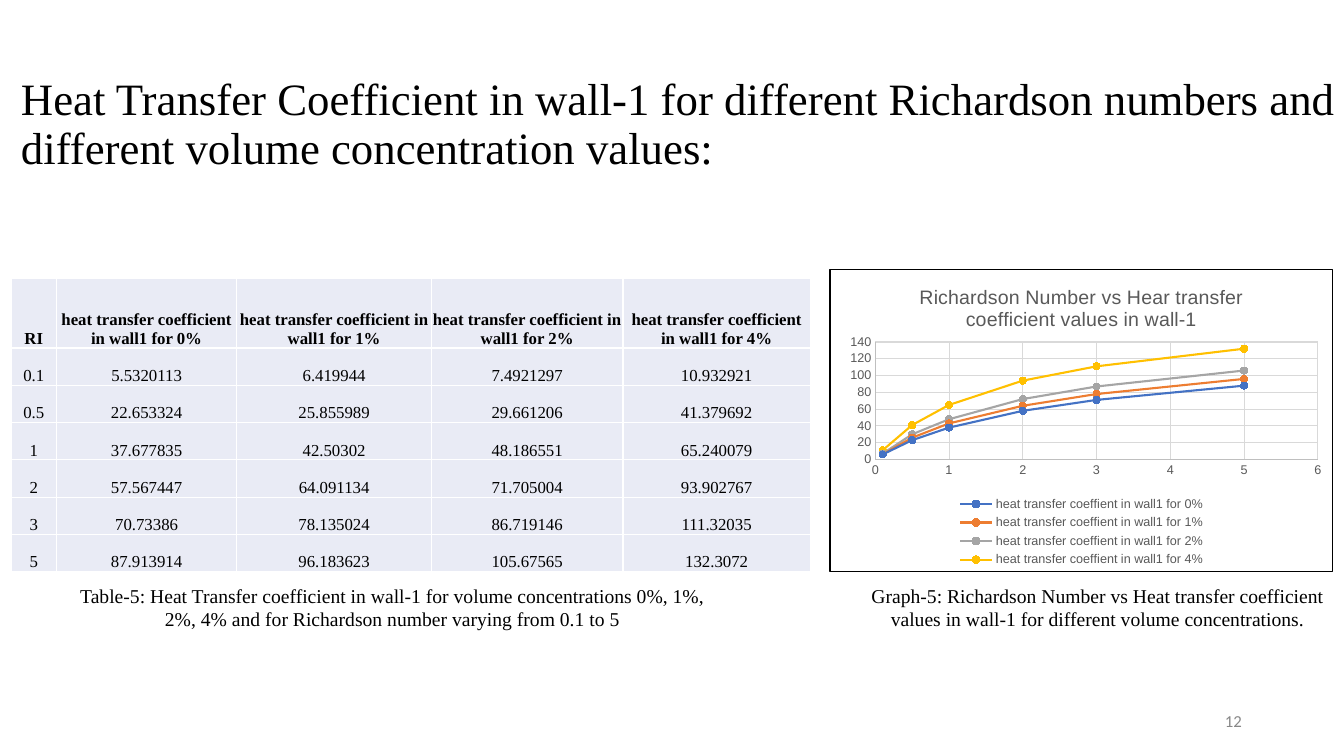
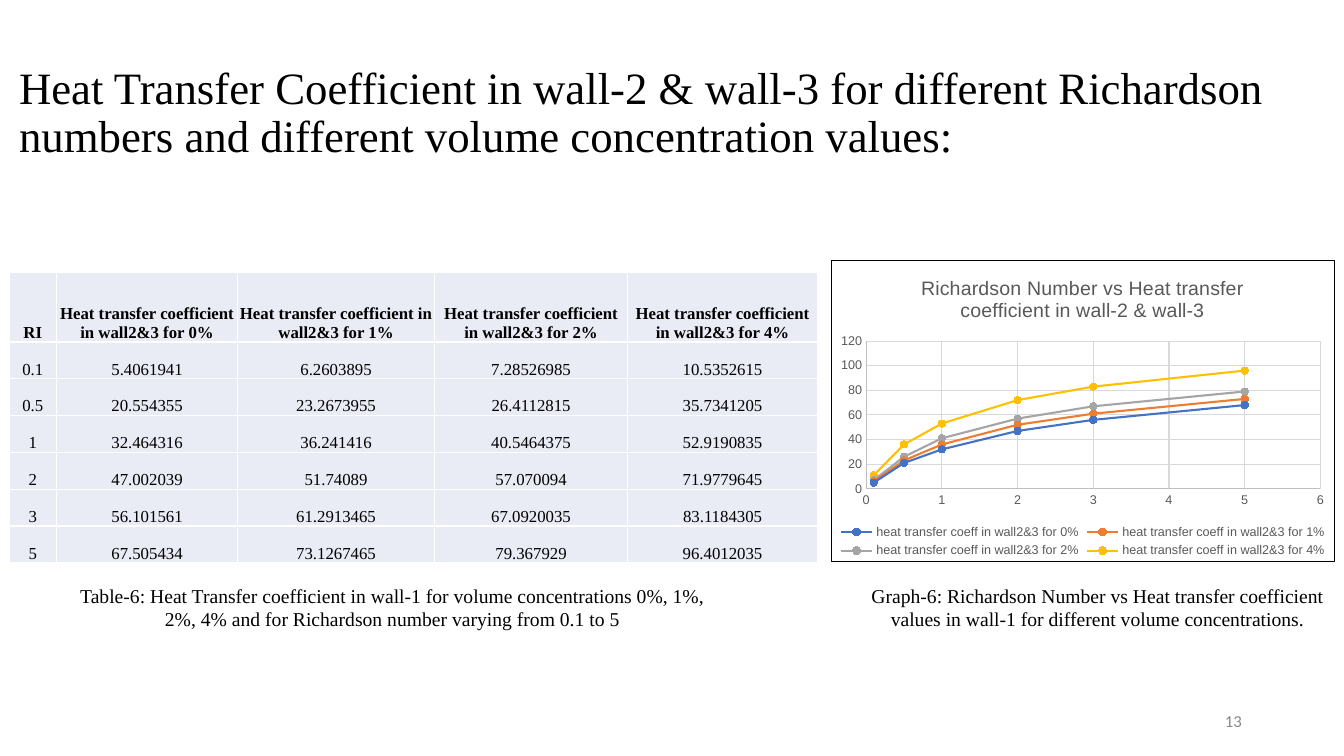
from dataclasses import dataclass
from typing import NamedTuple

from lxml.etree import SubElement
from pptx import Presentation
from pptx.chart.data import XyChartData
from pptx.dml.color import RGBColor
from pptx.enum.chart import XL_CHART_TYPE, XL_LEGEND_POSITION, XL_MARKER_STYLE, XL_TICK_MARK
from pptx.enum.text import MSO_ANCHOR, MSO_AUTO_SIZE, PP_ALIGN
from pptx.oxml import parse_xml
from pptx.oxml.ns import nsdecls, qn
from pptx.util import Pt


@dataclass(frozen=True)
class Theme:
    serif: str = "Times New Roman"
    chart_font: str = "Arial"
    number_font: str = "Calibri"
    black: str = "000000"
    white: str = "FFFFFF"
    cell: str = "E9EBF5"
    page_number: str = "888888"
    chart_text: str = "595959"
    axis: str = "BFBFBF"
    grid: str = "D9D9D9"
    series: tuple[str, ...] = ("4472C4", "ED7D31", "A5A5A5", "FFC000")
    title_size: float = 32
    caption_size: float = 14
    table_size: float = 12
    page_number_size: float = 12
    chart_title_size: float = 14
    chart_size: float = 10
    label_size: float = 9
    hairline: float = 0.75
    curve: float = 1.5
    cell_border: float = 1


class Box(NamedTuple):
    left: float
    top: float
    width: float
    height: float


class TextStyle(NamedTuple):
    font: str
    size: float
    color: str
    bold: bool = False


class PlotArea(NamedTuple):
    x: float
    y: float
    w: float
    h: float


@dataclass(frozen=True)
class WallResult:
    title: str
    title_box: Box
    page: int
    column_label: str
    table_box: Box
    column_widths: tuple[float, ...]
    readings: tuple[tuple[str, ...], ...]
    chart_title: str
    curve_label: str
    chart_box: Box
    number: int
    plot_area: PlotArea | None = None


THEME = Theme()
TITLE = TextStyle(THEME.serif, THEME.title_size, THEME.black)
CAPTION = TextStyle(THEME.serif, THEME.caption_size, THEME.black)
PAGE_NUMBER = TextStyle(THEME.number_font, THEME.page_number_size, THEME.page_number)
READING = TextStyle(THEME.serif, THEME.table_size, THEME.black)
HEADING = READING._replace(bold=True)
CHART_TITLE = TextStyle(THEME.chart_font, THEME.chart_title_size, THEME.chart_text)
CHART_LABEL = TextStyle(THEME.chart_font, THEME.label_size, THEME.chart_text)
CHART_BASE = TextStyle(THEME.chart_font, THEME.chart_size, THEME.black)

PAGE_NUMBER_BOX = Box(678.25, 500.5, 216, 28.75)
TABLE_CAPTION_BOX = Box(40.3, 413.3, 480.25, 41)
GRAPH_CAPTION_BOX = Box(599.75, 413.3, 368.65, 41)
HEADER_HEIGHT = 49.7
CELL_INSET = 0.7
CONCENTRATIONS = ("0%", "1%", "2%", "4%")
RICHARDSON = ("0.1", "0.5", "1", "2", "3", "5")

RESULTS = (
    WallResult(
        title="Heat Transfer Coefficient in wall-1 for different Richardson numbers "
              "and different volume concentration values:",
        title_box=Box(7.9, 51.5, 961.2, 91.4),
        page=12,
        column_label="heat transfer coefficient in wall1 for",
        table_box=Box(7.9, 198.9, 571, 209.5),
        column_widths=(32.4, 128.9, 139, 136.8, 133.9),
        readings=(
            ("5.5320113", "6.419944", "7.4921297", "10.932921"),
            ("22.653324", "25.855989", "29.661206", "41.379692"),
            ("37.677835", "42.50302", "48.186551", "65.240079"),
            ("57.567447", "64.091134", "71.705004", "93.902767"),
            ("70.73386", "78.135024", "86.719146", "111.32035"),
            ("87.913914", "96.183623", "105.67565", "132.3072"),
        ),
        chart_title="Richardson Number vs Hear transfer coefficient values in wall-1",
        curve_label="heat transfer coeffient in wall1 for",
        chart_box=Box(592.5, 192.3, 360, 216),
        number=5,
        plot_area=PlotArea(0.09, 0.24, 0.88, 0.39),
    ),
    WallResult(
        title="Heat Transfer Coefficient in wall-2 & wall-3 for different Richardson "
              "numbers and different volume concentration values:",
        title_box=Box(6.5, 43.2, 972.7, 79.2),
        page=13,
        column_label="Heat transfer coefficient in wall2&3 for",
        table_box=Box(6.5, 194.6, 577.4, 207.4),
        column_widths=(33.8, 129.6, 140.4, 138.2, 135.4),
        readings=(
            ("5.4061941", "6.2603895", "7.28526985", "10.5352615"),
            ("20.554355", "23.2673955", "26.4112815", "35.7341205"),
            ("32.464316", "36.241416", "40.5464375", "52.9190835"),
            ("47.002039", "51.74089", "57.070094", "71.9779645"),
            ("56.101561", "61.2913465", "67.0920035", "83.1184305"),
            ("67.505434", "73.1267465", "79.367929", "96.4012035"),
        ),
        chart_title="Richardson Number vs Heat transfer coefficient in wall-2 & wall-3",
        curve_label="heat transfer coeff in wall2&3 for",
        chart_box=Box(593.3, 185.8, 360, 216),
        number=6,
    ),
)


def rgb(color: str) -> RGBColor:
    return RGBColor.from_string(color)


def in_points(box: Box) -> tuple[Pt, ...]:
    return tuple(Pt(length) for length in box)


def set_font(font, style: TextStyle) -> None:
    font.name, font.size, font.bold = style.font, Pt(style.size), style.bold
    font.color.rgb = rgb(style.color)


def set_line(line, color: str, width: float) -> None:
    line.color.rgb = rgb(color)
    line.width = Pt(width)


def write(frame, text: str, style: TextStyle, align: PP_ALIGN) -> None:
    paragraph = frame.paragraphs[0]
    paragraph.alignment = align
    run = paragraph.add_run()
    run.text = text
    set_font(run.font, style)


def add_text(slide, box: Box, text: str, style: TextStyle, align: PP_ALIGN,
             anchor: MSO_ANCHOR = MSO_ANCHOR.TOP):
    frame = slide.shapes.add_textbox(*in_points(box)).text_frame
    frame.word_wrap = True
    frame.vertical_anchor = anchor
    write(frame, text, style, align)
    return frame


def add_caption(slide, box: Box, text: str) -> None:
    frame = add_text(slide, box, text, CAPTION, PP_ALIGN.CENTER)
    frame.auto_size = MSO_AUTO_SIZE.SHAPE_TO_FIT_TEXT


def add_cell_borders(cell) -> None:
    properties = cell._tc.get_or_add_tcPr()
    for index, edge in enumerate(("lnL", "lnR", "lnT", "lnB")):
        properties.insert(index, parse_xml(
            f'<a:{edge} {nsdecls("a")} w="{Pt(THEME.cell_border)}"><a:solidFill>'
            f'<a:srgbClr val="{THEME.white}"/></a:solidFill></a:{edge}>'))


def add_readings_table(slide, result: WallResult) -> None:
    header = ("RI", *(f"{result.column_label} {share}" for share in CONCENTRATIONS))
    rows = [header, *((ri, *values) for ri, values in zip(RICHARDSON, result.readings))]
    table = slide.shapes.add_table(
        len(rows), len(header), *in_points(result.table_box)).table
    table.first_row = table.horz_banding = False
    for column, width in zip(table.columns, result.column_widths):
        column.width = Pt(width)
    row_height = (result.table_box.height - HEADER_HEIGHT) / len(RICHARDSON)
    for r, texts in enumerate(rows):
        table.rows[r].height = Pt(row_height if r else HEADER_HEIGHT)
        for c, text in enumerate(texts):
            cell = table.cell(r, c)
            cell.margin_left = cell.margin_right = cell.margin_top = Pt(CELL_INSET)
            cell.margin_bottom = Pt(0)
            cell.vertical_anchor = MSO_ANCHOR.BOTTOM
            cell.fill.solid()
            cell.fill.fore_color.rgb = rgb(THEME.cell)
            add_cell_borders(cell)
            write(cell.text_frame, text, READING if r else HEADING, PP_ALIGN.CENTER)


def frame_chart(chart) -> None:
    """Give the whole chart a white ground and a thin black outline."""
    chart._chartSpace.find(qn("c:chart")).addnext(parse_xml(
        f'<c:spPr {nsdecls("c", "a")}><a:solidFill><a:srgbClr val="{THEME.white}"/>'
        f'</a:solidFill><a:ln w="{Pt(THEME.hairline)}"><a:solidFill>'
        f'<a:srgbClr val="{THEME.black}"/></a:solidFill></a:ln></c:spPr>'))


def place_plot(chart, area: PlotArea) -> None:
    plot = chart._chartSpace.find(qn("c:chart")).find(qn("c:plotArea"))
    layout = plot.find(qn("c:layout"))
    if layout is None:
        layout = parse_xml(f'<c:layout {nsdecls("c")}/>')
        plot.insert(0, layout)
    manual = SubElement(layout, qn("c:manualLayout"))
    settings = {"layoutTarget": "inner", "xMode": "edge", "yMode": "edge", **area._asdict()}
    for tag, value in settings.items():
        SubElement(manual, qn(f"c:{tag}")).set("val", str(value))


def add_curves_chart(slide, result: WallResult) -> None:
    data = XyChartData()
    for share, values in zip(CONCENTRATIONS, zip(*result.readings)):
        curve = data.add_series(f"{result.curve_label} {share}")
        for ri, value in zip(RICHARDSON, values):
            curve.add_data_point(float(ri), round(float(value)))
    chart = slide.shapes.add_chart(
        XL_CHART_TYPE.XY_SCATTER_SMOOTH, *in_points(result.chart_box), data).chart
    set_font(chart.font, CHART_BASE)
    frame_chart(chart)
    if result.plot_area:
        place_plot(chart, result.plot_area)

    chart.has_title = True
    write(chart.chart_title.text_frame, result.chart_title, CHART_TITLE, PP_ALIGN.CENTER)
    chart.chart_title.include_in_layout = False
    chart.has_legend = True
    chart.legend.position = XL_LEGEND_POSITION.BOTTOM
    chart.legend.include_in_layout = False
    set_font(chart.legend.font, CHART_LABEL)

    for axis in (chart.category_axis, chart.value_axis):
        axis.major_tick_mark = axis.minor_tick_mark = XL_TICK_MARK.NONE
        axis.has_major_gridlines = True
        set_line(axis.major_gridlines.format.line, THEME.grid, THEME.hairline)
        set_line(axis.format.line, THEME.axis, THEME.hairline)
        set_font(axis.tick_labels.font, CHART_LABEL)

    chart.plots[0].vary_by_categories = False
    for curve, color in zip(chart.plots[0].series, THEME.series):
        curve.smooth = True
        set_line(curve.format.line, color, THEME.curve)
        curve.marker.style = XL_MARKER_STYLE.CIRCLE
        curve.marker.size = 5
        curve.marker.format.fill.solid()
        curve.marker.format.fill.fore_color.rgb = rgb(color)
        set_line(curve.marker.format.line, color, THEME.hairline)


def add_result_slide(deck, result: WallResult) -> None:
    slide = deck.slides.add_slide(deck.slide_layouts[6])
    title = add_text(slide, result.title_box, result.title, TITLE, PP_ALIGN.LEFT)
    title.paragraphs[0].line_spacing = 0.9
    add_text(slide, PAGE_NUMBER_BOX, str(result.page), PAGE_NUMBER, PP_ALIGN.RIGHT,
             MSO_ANCHOR.MIDDLE)
    add_readings_table(slide, result)
    add_curves_chart(slide, result)
    add_caption(slide, TABLE_CAPTION_BOX,
                f"Table-{result.number}: Heat Transfer coefficient in wall-1 for volume "
                "concentrations 0%, 1%, 2%, 4% and for Richardson number varying from 0.1 to 5")
    add_caption(slide, GRAPH_CAPTION_BOX,
                f"Graph-{result.number}: Richardson Number vs Heat transfer coefficient "
                "values in wall-1 for different volume concentrations.")


def main() -> None:
    deck = Presentation()
    deck.slide_width, deck.slide_height = Pt(960), Pt(540)
    for result in RESULTS:
        add_result_slide(deck, result)
    deck.save("out.pptx")


if __name__ == "__main__":
    main()
